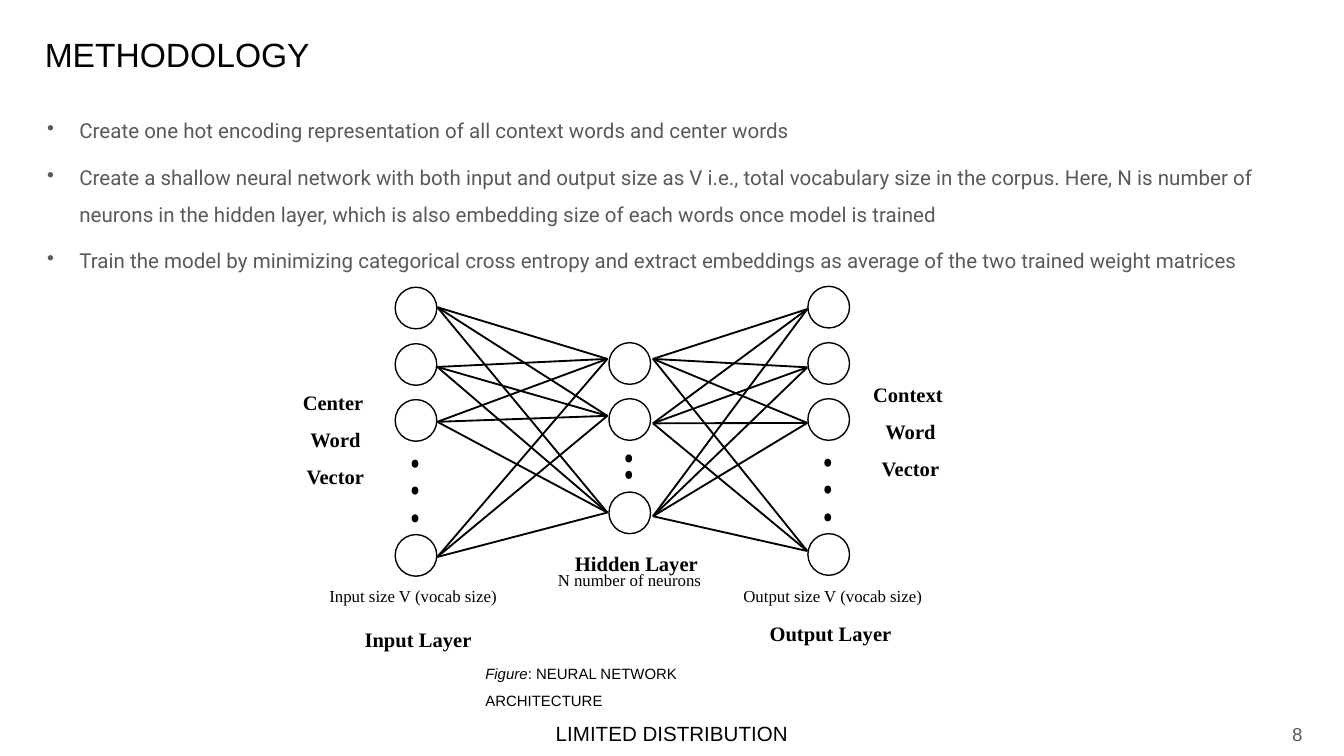
import itertools

import lxml.etree
import pptx
import pptx.dml.color
import pptx.enum.shapes
import pptx.enum.text
import pptx.oxml.ns
import pptx.util

Pt = pptx.util.Pt
ALIGN = pptx.enum.text.PP_ALIGN
ANCHOR = pptx.enum.text.MSO_ANCHOR
BLACK = "000000"
GREY = "595959"
SERIF = "Times New Roman"
PADDED = (5, 3)
NODE_SIZE = 22.3
DOT_SIZE = (2.9, 3.6)

BULLETS = [
    "Create one hot encoding representation of all context words and center words",
    "Create a shallow neural network with both input and output size as V i.e., total vocabulary "
    "size in the corpus. Here, N is number of neurons in the hidden layer, which is also embedding "
    "size of each words once model is trained",
    "Train the model by minimizing categorical cross entropy and extract embeddings as average of "
    "the two trained weight matrices",
]


def color(value):
    """Turn a hex string into a colour."""
    return pptx.dml.color.RGBColor.from_string(value)


def add_text(page, box, lines, size, font="Arial", ink=BLACK, bold=None, align=ALIGN.LEFT,
             anchor=ANCHOR.TOP, inset=(0, 0), spacing=None):
    """Add a wrapped text box with one paragraph per line and return its text frame."""
    frame = page.shapes.add_textbox(*map(Pt, box)).text_frame
    frame.word_wrap = True
    frame.vertical_anchor = anchor
    frame.margin_left = frame.margin_right = Pt(inset[0])
    frame.margin_top = frame.margin_bottom = Pt(inset[1])
    frame.text = "\n".join(lines)
    for para in frame.paragraphs:
        para.alignment = align
        if spacing:
            para.line_spacing = spacing
        for span in para.runs:
            span.font.name = font
            span.font.size = Pt(size)
            span.font.bold = bold
            span.font.color.rgb = color(ink)
    return frame


def add_bullet(para, indent):
    """Give a paragraph a grey bullet and a hanging indent."""
    props = para._p.get_or_add_pPr()
    props.set("marL", str(Pt(indent)))
    props.set("indent", str(-Pt(indent)))
    tint = lxml.etree.SubElement(props, pptx.oxml.ns.qn("a:buClr"))
    lxml.etree.SubElement(tint, pptx.oxml.ns.qn("a:srgbClr"), val=GREY)
    lxml.etree.SubElement(props, pptx.oxml.ns.qn("a:buChar"), char="•")


def add_bullets(page, box):
    """Add the list of method steps."""
    frame = add_text(page, box, BULLETS, 11, "Roboto", GREY, spacing=1.5)
    for index, para in enumerate(frame.paragraphs):
        if index:
            para.space_before = Pt(5)
        add_bullet(para, 17.3)


def add_circle(page, left, top, width, height, fill=None):
    """Add an outlined ellipse, hollow unless a fill is given."""
    circle = page.shapes.add_shape(pptx.enum.shapes.MSO_SHAPE.OVAL,
                                   Pt(left), Pt(top), Pt(width), Pt(height))
    circle.shadow.inherit = False
    circle.line.color.rgb = color(BLACK)
    circle.line.width = Pt(0.75)
    if fill:
        circle.fill.solid()
        circle.fill.fore_color.rgb = color(fill)
    else:
        circle.fill.background()


def add_layer(page, left, top, nodes, dots):
    """Add a column of neurons with the dots that stand for the omitted ones."""
    for offset in nodes:
        add_circle(page, left, top + offset, NODE_SIZE, NODE_SIZE)
    for offset in dots:
        add_circle(page, left + 9.2, top + offset, *DOT_SIZE, fill=BLACK)


def add_links(page, left, top, starts, right, ends):
    """Join every start height at the left to every end height at the right."""
    for start, end in itertools.product(starts, ends):
        link = page.shapes.add_connector(pptx.enum.shapes.MSO_CONNECTOR.STRAIGHT,
                                         Pt(left), Pt(top + start), Pt(right), Pt(top + end))
        link.line.color.rgb = color(BLACK)
        link.line.width = Pt(1)
        lxml.etree.SubElement(link._element.spPr, pptx.oxml.ns.qn("a:effectLst"))


def add_network(page, box):
    """Add the three layers, their links and their labels."""
    left, top, width, height = box
    hidden = left + 114.5
    output = left + width - NODE_SIZE
    outer_nodes = (0, 30.2, 60.2, height - NODE_SIZE)
    outer_dots = (92.7, 107.1, 122)
    add_layer(page, left, top + 0.5, outer_nodes, outer_dots)
    add_layer(page, output, top, outer_nodes, outer_dots)
    add_layer(page, hidden, top, (30.2, 60.2, 110.2), (90.4, 99.2))
    add_links(page, left + 22.6, top, (11.2, 43.2, 72.6, 145), hidden - 0.8, (38.9, 69.4, 121.2))
    add_links(page, hidden + 23.6, top, (38.9, 73.4, 123.2), output - 0.3, (12.2, 43.4, 73.2, 141.8))

    headings = [
        ((-66.2, 46, 68.4, 60.5), ["Center ", "Word", "Vector"]),
        ((244.8, 41.7, 62.6, 60.5), ["Context ", "Word", "Vector"]),
        ((-25.9, 172.8, 76.3, 22.3), ["Input Layer"]),
        ((89.3, 132.4, 79.9, 22.3), ["Hidden Layer"]),
        ((195.1, 169.9, 76.3, 22.3), ["Output Layer"]),
    ]
    for (x, y, w, h), lines in headings:
        add_text(page, (left + x, top + y, w, h), lines, 11, SERIF, bold=True,
                 align=ALIGN.CENTER, inset=PADDED, spacing=1.5)

    sizes = [
        ((-35.3, 160.6, 96.4, 10.8), "Input size V (vocab size)"),
        ((87.1, 151.9, 94.3, 10.8), "N number of neurons"),
        ((186.5, 160.6, 102.2, 10.8), "Output size V (vocab size)"),
    ]
    for (x, y, w, h), line in sizes:
        add_text(page, (left + x, top + y, w, h), [line], 9, SERIF)


def add_caption(page, box):
    """Add the figure caption, whose first word is italic."""
    para = add_text(page, box, ["Figure"], 8, spacing=1.5).paragraphs[0]
    para.runs[0].font.italic = True
    span = para.add_run()
    span.text = ": NEURAL NETWORK ARCHITECTURE"
    span.font.name = "Arial"
    span.font.size = Pt(8)
    span.font.color.rgb = color(BLACK)


def add_footer(page, box):
    """Add the distribution mark and the page number."""
    left, top, width, height = box
    add_text(page, (left, top, 468, height), ["LIMITED DISTRIBUTION"], 11,
             align=ALIGN.CENTER, anchor=ANCHOR.MIDDLE, inset=PADDED)
    add_text(page, (left + width - 32.4, top, 32.4, height), ["8"], 10, ink=GREY,
             align=ALIGN.RIGHT, anchor=ANCHOR.MIDDLE)


def main():
    """Build the slide and save it."""
    deck = pptx.Presentation()
    deck.slide_width = Pt(720)
    deck.slide_height = Pt(405)
    page = deck.slides.add_slide(deck.slide_layouts[6])
    add_text(page, (24, 18, 672, 35), ["METHODOLOGY"], 18)
    add_bullets(page, (25.2, 56.9, 670.3, 84.2))
    add_network(page, (211.7, 153.4, 243.4, 154.8))
    add_caption(page, (260, 351.4, 146.9, 20.9))
    add_footer(page, (126, 380.9, 571.7, 24.5))
    deck.save("out.pptx")


if __name__ == "__main__":
    main()
